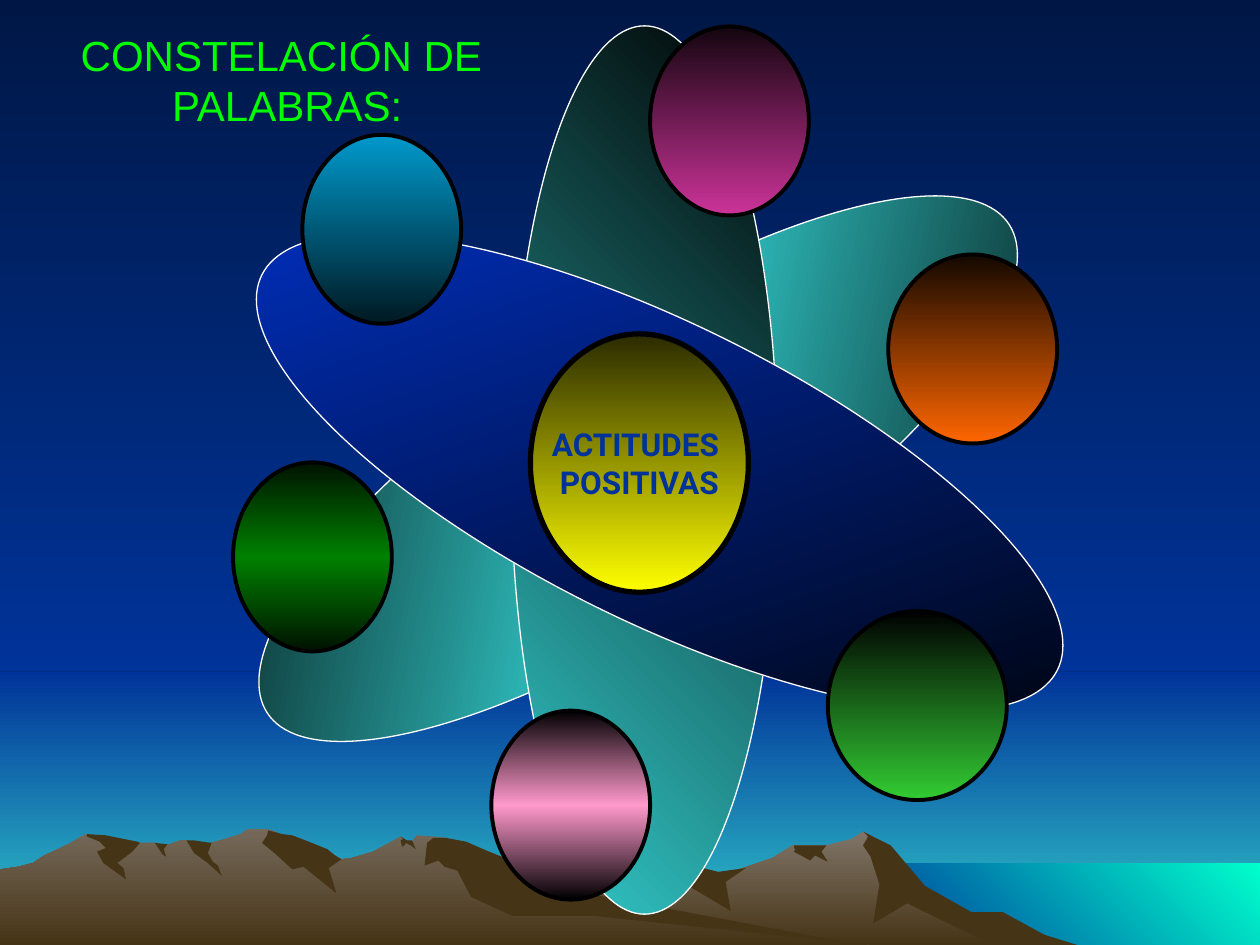
from copy import deepcopy

from lxml import etree
from pptx import Presentation
from pptx.dml.color import RGBColor
from pptx.enum.shapes import MSO_SHAPE
from pptx.enum.text import MSO_ANCHOR, PP_ALIGN
from pptx.oxml.ns import qn
from pptx.util import Inches, Pt

# The slide is a grid of 1000 columns by 750 rows
COLUMNS, ROWS = 1000, 750
SLIDE_BOX = (0, 0, Inches(10), Inches(7.5))

NIGHT, DUSK, TEAL, EARTH = "001746", "003399", "33CCCC", "463416"

# Ridges with a gradient, back to front, each followed by its dark shadows
FAR_RIDGE = [
    (802, 740), (778, 727), (764, 723), (723, 698), (702, 671), (685, 660),
    (676, 666), (656, 671), (629, 671), (613, 681), (566, 697), (536, 690),
    (529, 676), (526, 673), (509, 669), (486, 673), (474, 661), (471, 658),
    (465, 658), (450, 664), (438, 671), (430, 671), (418, 675), (405, 681),
    (394, 685), (355, 698), (327, 709), (277, 739), (258, 750), (820, 750)]
FAR_SHADOWS = [
    [(796, 724), (771, 724), (734, 703), (707, 671), (685, 660), (689, 664),
     (685, 671), (691, 680), (698, 702), (693, 733), (720, 717), (788, 750),
     (855, 750), (829, 742)],
    [(471, 658), (474, 662), (469, 664), (468, 671), (472, 680), (473, 690),
     (465, 727), (474, 704), (479, 700), (487, 683), (490, 682), (490, 676),
     (497, 671), (493, 670)],
    [(529, 676), (528, 678), (526, 683), (536, 697), (580, 723), (576, 700),
     (592, 689), (570, 692), (542, 685)],
    [(650, 671), (630, 671), (631, 675), (630, 676), (643, 683), (647, 679),
     (657, 684), (652, 676), (656, 671)],
    [(433, 677), (432, 673), (434, 671), (439, 670), (437, 673), (439, 679),
     (434, 684)]]
NEAR_RIDGE = [
    (690, 750), (667, 748), (432, 712), (354, 665), (331, 663), (327, 668),
    (323, 668), (318, 664), (296, 676), (279, 681), (271, 682), (260, 676),
    (236, 681), (223, 663), (219, 660), (212, 658), (196, 658), (191, 662),
    (178, 666), (160, 671), (148, 667), (143, 667), (132, 671), (128, 671),
    (123, 669), (111, 669), (94, 671), (68, 662), (56, 669), (46, 674),
    (35, 679), (26, 685), (14, 688), (0, 690), (0, 750)]
NEAR_SHADOWS = [
    [(212, 663), (208, 669), (219, 678), (232, 690), (241, 688), (267, 709),
     (261, 689), (271, 682), (266, 679), (260, 674), (245, 668), (232, 663),
     (224, 662), (213, 659)],
    [(370, 668), (354, 665), (344, 665), (339, 669), (337, 687), (348, 683),
     (353, 688), (363, 691), (374, 712), (407, 727), (472, 727), (690, 750),
     (683, 750), (455, 707), (427, 692), (411, 684), (401, 681), (386, 675)],
    [(318, 667), (320, 666), (318, 664), (323, 667), (327, 667), (330, 674),
     (326, 671), (322, 669), (321, 671), (319, 672)],
    [(154, 667), (168, 669), (165, 677), (169, 684), (173, 687), (176, 695),
     (165, 685), (154, 677), (148, 667)],
    [(133, 670), (130, 674), (132, 680), (129, 678), (123, 669)],
    [(109, 668), (111, 669), (105, 676), (93, 685), (98, 689), (100, 698),
     (82, 685), (77, 676), (84, 673), (79, 668), (69, 664), (69, 662),
     (84, 663), (94, 665)]]

# Orbits and planets: grid cells, then rotation, colours
ORBITS = [
    ((154, 257, 705, 230), 326.6, ["000000", TEAL, "000000"]),
    ((159, 267, 705, 212), 270, [TEAL, "000000"]),
    ((171, 257, 705, 236), 26.4, ["0033CC", "000000"])]
SUN = ((421, 265, 173, 205), ["2B2B00", "FFFF00"])
PLANETS = [
    ((240, 107, 126, 150), ["0099CC", "001922"]),
    ((390, 564, 126, 150), ["000000", "FF99CC", "000000"]),
    ((657, 485, 142, 150), ["000000", "33CC33"]),
    ((705, 202, 134, 150), ["130800", "FF6600"]),
    ((516, 21, 126, 150), ["14050F", "CC3399"]),
    ((185, 367, 126, 150), ["001200", "008000", "001200"])]


def colour(hex_text):
    return RGBColor.from_string(hex_text)


def paint(fill, colours, angle=90):
    """Fill with one colour, or with evenly spaced stops at a clockwise angle."""
    if len(colours) == 1:
        fill.solid()
        fill.fore_color.rgb = colour(colours[0])
        return
    fill.gradient()
    fill.gradient_angle = (360 - angle) % 360
    stops = fill.gradient_stops
    for stop in stops:
        stop.color.rgb = colour(colours[0])
    stop_list = fill._fill._gradFill.find(qn("a:gsLst"))
    template = deepcopy(stop_list[0])
    for old_stop in list(stop_list):
        stop_list.remove(old_stop)
    for index, hex_text in enumerate(colours):
        stop = deepcopy(template)
        stop.set("pos", str(100000 * index // (len(colours) - 1)))
        stop.find(qn("a:srgbClr")).set("val", hex_text)
        stop_list.append(stop)


def finish(shape, colours, angle=90, line=None, width=0):
    shape.shadow.inherit = False
    paint(shape.fill, colours, angle)
    if line:
        shape.line.color.rgb = colour(line)
        shape.line.width = Pt(width)
    else:
        shape.line.fill.background()
    return shape


def place(box, cells):
    """Turn grid cells into a position inside the box."""
    left, top, width, height = box
    x, y, w, h = cells
    return (int(left + width * x / COLUMNS), int(top + height * y / ROWS),
            int(width * w / COLUMNS), int(height * h / ROWS))


def add_preset(slide, box, preset, cells, *style):
    shape = slide.shapes.add_shape(preset, *place(box, cells))
    return finish(shape, *style)


def add_rock(slide, box, points, colours):
    left, top, width, height = box
    builder = slide.shapes.build_freeform(
        *points[0], scale=(width / COLUMNS, height / ROWS))
    builder.add_line_segments(points[1:], close=True)
    finish(builder.convert_to_shape(left, top), colours)


def landscape(slide, box):
    paint(slide.background.fill, [NIGHT, DUSK])
    # Horizon, sky and sea
    for cells, colours, angle in [
            ((0, 533, 1000, 217), [DUSK, TEAL], 90),
            ((0, 0, 1000, 533), [NIGHT, DUSK], 90),
            ((683, 685, 317, 65), [DUSK, "00FFCC"], 315)]:
        add_preset(slide, box, MSO_SHAPE.RECTANGLE, cells, colours, angle)
    # Mountains
    for ridge, light, shadows in [(FAR_RIDGE, "81766A", FAR_SHADOWS),
                                  (NEAR_RIDGE, "75695A", NEAR_SHADOWS)]:
        add_rock(slide, box, ridge, [light, EARTH])
        for shadow in shadows:
            add_rock(slide, box, shadow, [EARTH])


def write(frame, text, size, font, hex_text, bold):
    frame.text = text
    frame.vertical_anchor = MSO_ANCHOR.MIDDLE
    for paragraph in frame.paragraphs:
        paragraph.alignment = PP_ALIGN.CENTER
        for run in paragraph.runs:
            run.font.size = Pt(size)
            run.font.name = font
            run.font.bold = bold
            run.font.color.rgb = colour(hex_text)


def heading(slide, box):
    title = slide.shapes.title
    title.left, title.top, title.width, title.height = place(box, (0, 36, 456, 55))
    write(title.text_frame, "CONSTELACIÓN DE \vPALABRAS:", 24, "Arial", "00FF00", False)
    # Bring the heading in front of the landscape
    tree = slide.shapes._spTree
    tree.append(title._element)


def constellation(slide, box):
    for cells, turn, colours in ORBITS:
        orbit = add_preset(slide, box, MSO_SHAPE.OVAL, cells, colours, 45, "FFFFFF", 0.75)
        orbit.rotation = turn
    cells, colours = SUN
    sun = add_preset(slide, box, MSO_SHAPE.OVAL, cells, colours, 90, "000000", 3)
    write(sun.text_frame, "ACTITUDES \nPOSITIVAS", 18, "Roboto", DUSK, True)
    sun.text_frame.word_wrap = False
    for cells, colours in PLANETS:
        add_preset(slide, box, MSO_SHAPE.OVAL, cells, colours, 90, "000000", 2.25)


def main():
    deck = Presentation()
    deck.slide_width, deck.slide_height = SLIDE_BOX[2:]
    slide = deck.slides.add_slide(deck.slide_layouts[5])
    landscape(slide, SLIDE_BOX)
    heading(slide, SLIDE_BOX)
    constellation(slide, SLIDE_BOX)
    deck.save("out.pptx")


if __name__ == "__main__":
    main()
